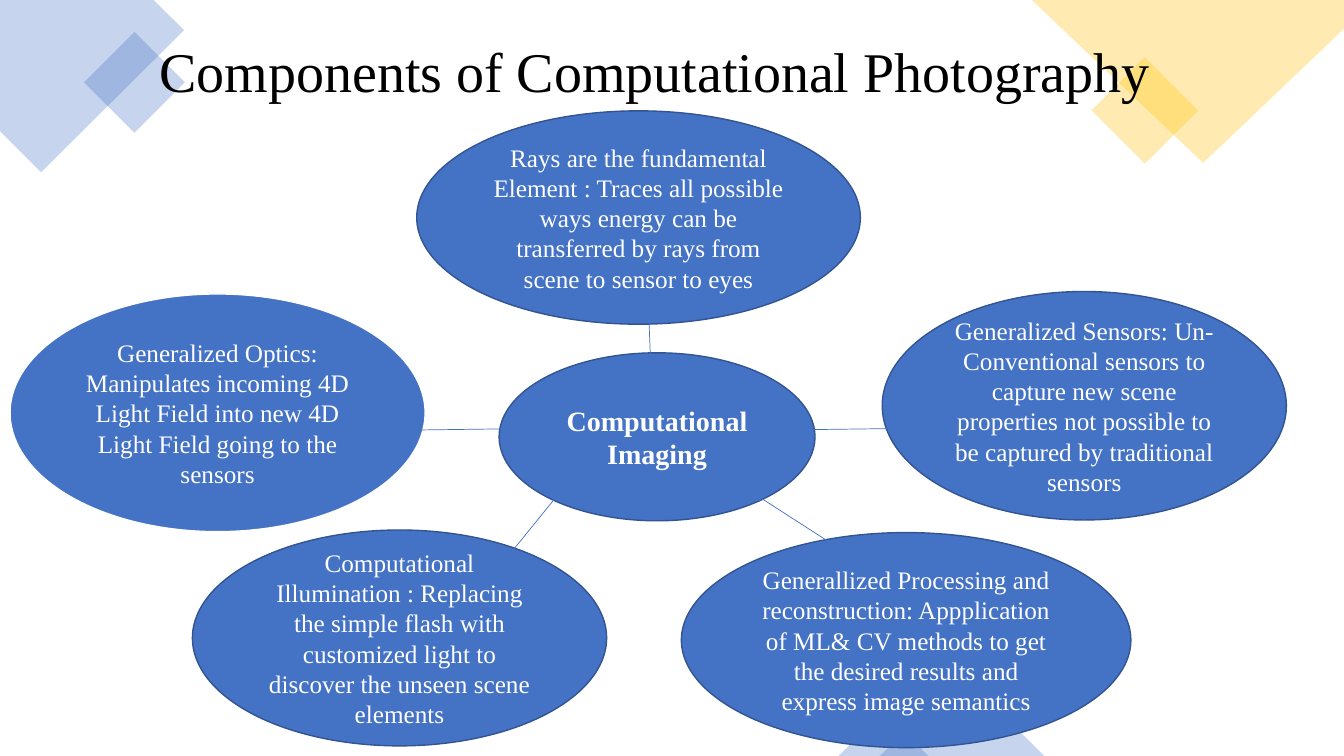
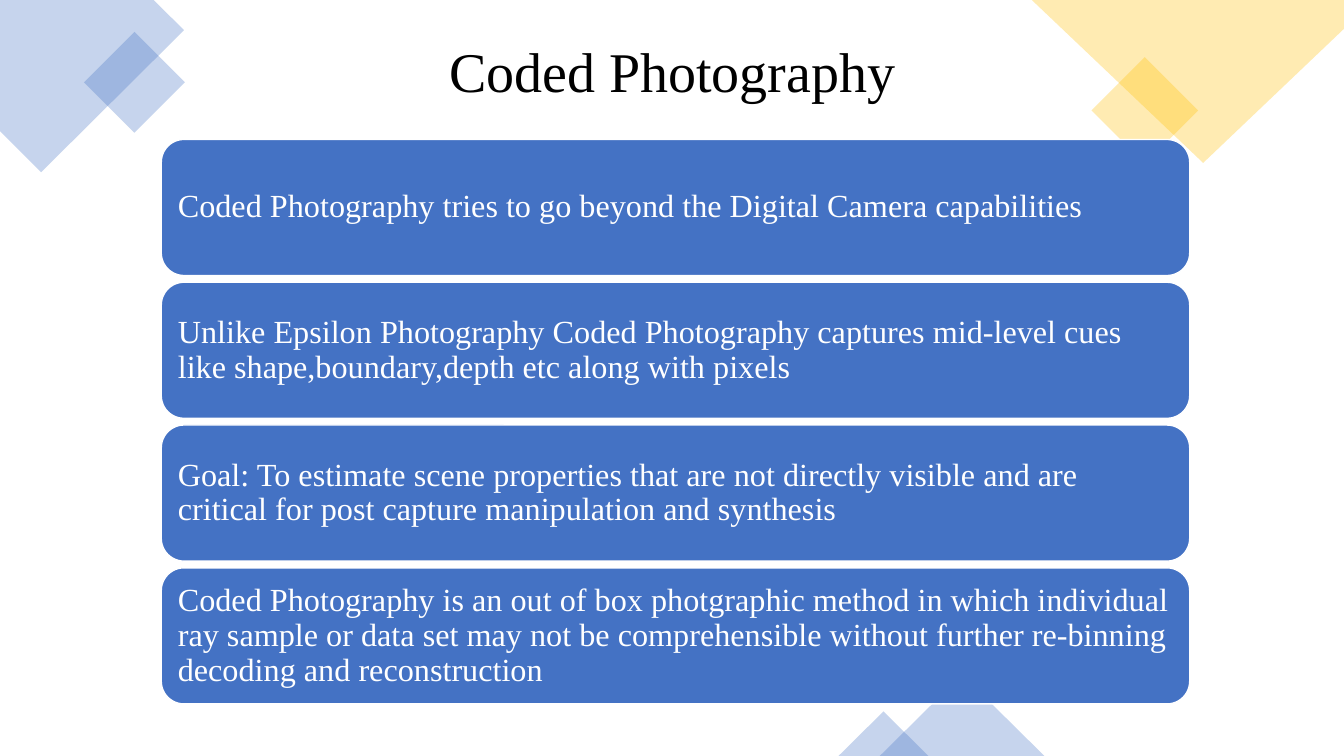
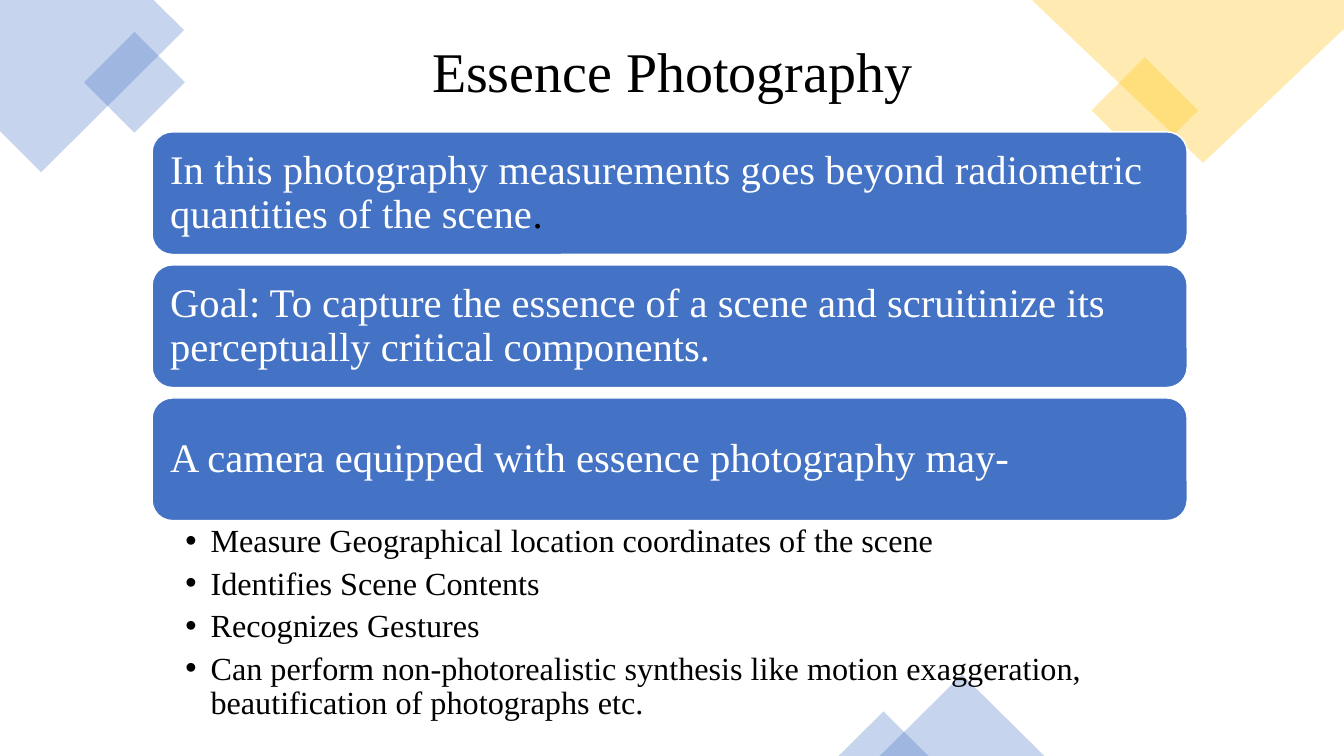
from pptx import Presentation, util as u
from pptx.dml.color import RGBColor
from pptx.enum import shapes, text
from pptx.oxml.ns import qn
from lxml import etree

BLUE = RGBColor(0x44, 0x72, 0xC4)
NAVY = RGBColor(0x32, 0x54, 0x91)
GOLD = RGBColor(0xFF, 0xC0, 0x00)
WHITE = RGBColor(0xFF, 0xFF, 0xFF)
BLACK = RGBColor(0, 0, 0)
FONT = "Times New Roman"
KIND = shapes.MSO_SHAPE
LEFT, CENTER = text.PP_ALIGN.LEFT, text.PP_ALIGN.CENTER
MIDDLE = text.MSO_ANCHOR.MIDDLE

# The slide is a grid of 160 columns by 90 rows of square cells
deck = Presentation()
deck.slide_width, deck.slide_height = u.Inches(13.33), u.Inches(7.5)
CELL = deck.slide_height / 90


def cells(*lengths):
    return [round(length * CELL) for length in lengths]


def write(para, words, size=18, colour=WHITE, bold=False, align=LEFT, spacing=1.0, after=0):
    para.alignment = align
    para.line_spacing = spacing
    para.space_after = u.Pt(after)
    span = para.add_run()
    span.text = words
    span.font.name = FONT
    span.font.size = u.Pt(size)
    span.font.bold = bold
    span.font.color.rgb = colour


# Corner and edge decoration, shared by all slides
OUTLINES = [
    (BLUE, [(0, 0), (18.3, 0), (21.9, 3.6), (4.9, 20.5), (0, 15.6)]),
    (GOLD, [(122.8, 0), (160, 0), (160, 3.4), (143.2, 19.4)]),
]
PRESETS = [
    (BLUE, KIND.DIAMOND, (10, 3.8, 12, 12)),
    (GOLD, KIND.DIAMOND, (129.9, 6.8, 12.7, 12.7)),
    (BLUE, KIND.ISOSCELES_TRIANGLE, (104.7, 80.3, 19.6, 9.7)),
    (BLUE, KIND.ISOSCELES_TRIANGLE, (99.8, 84.7, 10.7, 5.3)),
]
CENTRED_TITLE = (20.9, 3.8, 118.2, 9.2)
TITLES = [
    ("Components of Computational Photography", LEFT, (17.8, 3.8, 136.3, 9.2)),
    ("Coded Photography", CENTER, CENTRED_TITLE),
    ("Essence Photography", CENTER, CENTRED_TITLE),
]
pages = []
for title, align, area in TITLES:
    page = deck.slides.add_slide(deck.slide_layouts[6])
    pages.append(page)
    decoration = []
    for colour, points in OUTLINES:
        corners = [cells(*point) for point in points]
        builder = page.shapes.build_freeform(*corners[0])
        builder.add_line_segments(corners[1:], close=True)
        decoration.append((colour, builder.convert_to_shape()))
    for colour, kind, place in PRESETS:
        decoration.append((colour, page.shapes.add_shape(kind, *cells(*place))))
    for colour, shape in decoration:
        shape.shadow.inherit = False
        shape.line.fill.background()
        shape.fill.solid()
        shape.fill.fore_color.rgb = colour
        tint = shape.fill._xPr.find(qn("a:solidFill"))[0]
        etree.SubElement(tint, qn("a:alpha"), val="30000")
    box = page.shapes.add_textbox(*cells(*area))
    box.text_frame.word_wrap = True
    write(box.text_frame.paragraphs[0], title, size=40, colour=BLACK, align=align)

components, coded, essence = pages

# Components: a hub with five ellipses around it
ELLIPSES = [
    ((59.4, 42, 37.6, 20), NAVY, ["Computational", "Imaging"], 20),
    ((81.1, 63.4, 53.5, 25.6), NAVY, [
        "Generallized Processing and reconstruction: Appplication of ML& CV methods "
        "to get the desired results and express image semantics"], 18),
    ((22.9, 63.1, 49.3, 25.7), NAVY, [
        "Computational Illumination : Replacing the simple flash with customized light "
        "to discover the unseen scene elements"], 18),
    ((1.2, 35, 49.4, 28.3), WHITE, [
        "Generalized Optics: Manipulates incoming 4D Light Field into new 4D "
        "Light Field going to the sensors"], 18),
    ((49.6, 13.2, 52.8, 25.4), NAVY, [
        "Rays are the fundamental Element : Traces all possible ways energy can be "
        "transferred by rays from scene to sensor to eyes"], 18),
    ((105, 34.7, 48.1, 27.2), NAVY, [
        "Generalized Sensors: Un-Conventional sensors to capture new scene properties "
        "not possible to be captured by traditional sensors"], 18),
]
for area, edge, lines, size in ELLIPSES:
    ellipse = components.shapes.add_shape(KIND.OVAL, *cells(*area))
    ellipse.shadow.inherit = False
    ellipse.fill.solid()
    ellipse.fill.fore_color.rgb = BLUE
    ellipse.line.color.rgb = edge
    ellipse.line.width = u.Pt(1)
    frame = ellipse.text_frame
    frame.word_wrap = True
    frame.vertical_anchor = MIDDLE
    for index, words in enumerate(lines):
        para = frame.add_paragraph() if index else frame.paragraphs[0]
        write(para, words, size=size, bold=size == 20, align=CENTER)

# Arrows from the outer ellipses to the hub and back
ARROWS = [
    (107.8, 51, 92, 51.2),
    (49, 51.2, 64.7, 51),
    (66, 59.4, 60, 66.8),
    (98.8, 64.6, 89.8, 58.8),
    (77.2, 37, 77.5, 44.9),
]
for ends in ARROWS:
    arrow = components.shapes.add_connector(shapes.MSO_CONNECTOR.STRAIGHT, *cells(*ends))
    arrow.line.color.rgb = BLUE
    arrow.line.width = u.Pt(0.5)
    etree.SubElement(arrow.line._get_or_add_ln(), qn("a:tailEnd"), type="triangle")
    etree.SubElement(arrow._element.spPr, qn("a:effectLst"))

# Stacks of rounded bars: page, first bar, row pitch, text size, inset, texts
STACKS = [
    (coded, (19.2, 16.6, 122.4, 16.2), 17, 23, 0.1, [
        "Coded Photography tries to go beyond the Digital Camera capabilities",
        "Unlike Epsilon Photography Coded Photography captures mid-level cues like "
        "shape,boundary,depth etc along with pixels",
        "Goal: To estimate scene properties that are not directly visible and are critical "
        "for post capture manipulation and synthesis",
        "Coded Photography is an out of box photgraphic method in which individual ray "
        "sample or data set may not be comprehensible without further re-binning "
        "decoding and reconstruction",
    ]),
    (essence, (18.1, 15.7, 123.2, 14.6), 15.84, 29, 0.12, [
        "In this photography measurements goes beyond radiometric quantities of the scene",
        "Goal: To capture the essence of a scene and scruitinize its perceptually critical "
        "components.",
        "A camera equipped with essence photography may-",
    ]),
]
for page, (left, top, width, height), pitch, size, inset, lines in STACKS:
    for row, words in enumerate(lines):
        bar = page.shapes.add_shape(
            KIND.ROUNDED_RECTANGLE, *cells(left, top + row * pitch, width, height))
        bar.shadow.inherit = False
        bar.fill.solid()
        bar.fill.fore_color.rgb = BLUE
        bar.line.color.rgb = WHITE
        bar.line.width = u.Pt(1)
        frame = bar.text_frame
        frame.word_wrap = True
        frame.vertical_anchor = MIDDLE
        frame.margin_left = frame.margin_right = u.Inches(inset)
        frame.margin_top = frame.margin_bottom = u.Inches(inset)
        write(frame.paragraphs[0], words, size=size, spacing=0.9)
        if page is essence and row == 0:
            write(frame.paragraphs[0], ".", size=size, colour=BLACK, spacing=0.9)

# Essence: bullets below the last bar
BULLETS = [
    "Measure Geographical location coordinates of the scene",
    "Identifies Scene Contents",
    "Recognizes Gestures",
    "Can perform non-photorealistic synthesis like motion exaggeration, "
    "beautification of photographs etc.",
]
box = essence.shapes.add_textbox(*cells(18.1, 62, 123.2, 23.7))
frame = box.text_frame
frame.word_wrap = True
frame.margin_left, frame.margin_right = u.Inches(0.33), u.Inches(0.23)
frame.margin_top = frame.margin_bottom = u.Inches(0.04)
for index, words in enumerate(BULLETS):
    para = frame.add_paragraph() if index else frame.paragraphs[0]
    write(para, words, size=23, colour=BLACK, spacing=0.9, after=5.5)
    properties = para._p.get_or_add_pPr()
    properties.set("marL", str(u.Inches(0.25)))
    properties.set("indent", str(-u.Inches(0.25)))
    etree.SubElement(properties, qn("a:buFont"), typeface="Arial")
    etree.SubElement(properties, qn("a:buChar"), char="•")

deck.save("out.pptx")
